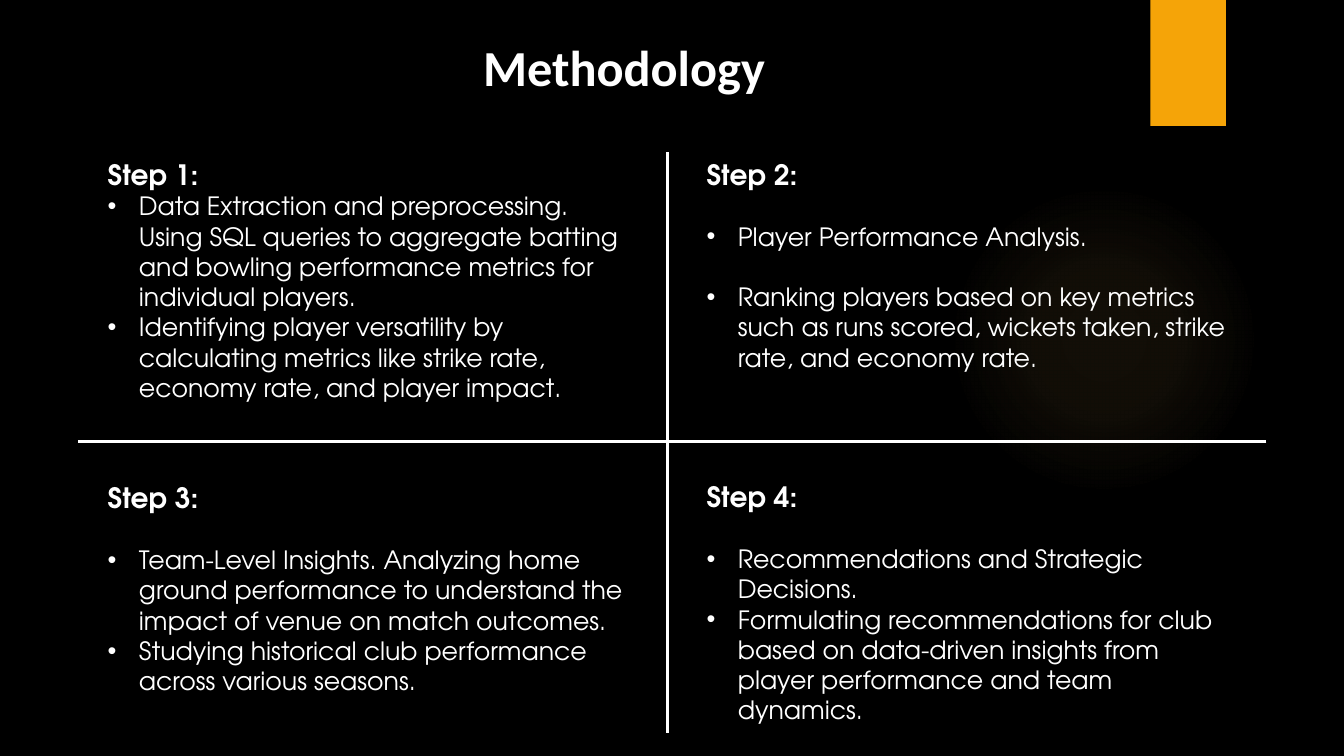
from lxml.etree import SubElement
from pptx import Presentation
from pptx.dml.color import RGBColor
from pptx.enum.shapes import MSO_CONNECTOR, MSO_SHAPE
from pptx.enum.text import MSO_ANCHOR, MSO_AUTO_SIZE, PP_ALIGN
from pptx.oxml import parse_xml
from pptx.oxml.ns import nsdecls, qn
from pptx.util import Inches, Pt

WHITE = "FFFFFF"
AMBER = "F5A408"
GLOW = "FAC96A"
BODY_FONT = "TeX Gyre Adventor"
BLANK_LINE = 21.6
STEP_WIDTH, STEP_HEIGHT = 5.36, 2.56

# left, top, heading, bullets as (space before in points, text)
STEPS = [
    (0.97, 1.51, "Step 1:", [
        (0, "Data Extraction and preprocessing. Using SQL queries to aggregate "
            "batting and bowling performance metrics for individual players."),
        (0, "Identifying player versatility by calculating metrics like strike "
            "rate, economy rate, and player impact."),
    ]),
    (6.91, 1.51, "Step 2:", [
        (BLANK_LINE, "Player Performance Analysis."),
        (BLANK_LINE, "Ranking players based on key metrics such as runs scored, "
                     "wickets taken, strike rate, and economy rate."),
    ]),
    (0.97, 4.72, "Step 3:", [
        (BLANK_LINE, "Team-Level Insights. Analyzing home ground performance to "
                     "understand the impact of venue on match outcomes."),
        (0, "Studying historical club performance across various seasons."),
    ]),
    (6.91, 4.71, "Step 4:", [
        (BLANK_LINE, "Recommendations and Strategic Decisions."),
        (0, "Formulating recommendations for club based on data-driven insights "
            "from player performance and team dynamics."),
    ]),
]


def color(hex_code):
    return RGBColor.from_string(hex_code)


def add_plain_shape(slide, kind, left, top, width, height):
    shape = slide.shapes.add_shape(
        kind, Inches(left), Inches(top), Inches(width), Inches(height))
    shape.shadow.inherit = False
    shape.line.fill.background()
    return shape


def add_glow(slide):
    """Add the faint circle that fades from its centre outwards."""
    glow = add_plain_shape(slide, MSO_SHAPE.OVAL, 9.41, 1.83, 3.08, 3.08)
    stops = "".join(
        f'<a:gs pos="{position * 1000}"><a:srgbClr val="{GLOW}">'
        f'<a:alpha val="{opacity * 1000}"/></a:srgbClr></a:gs>'
        for position, opacity in [(0, 7), (36, 6), (69, 0)])
    gradient = parse_xml(
        f'<a:gradFill {nsdecls("a")}><a:gsLst>{stops}</a:gsLst>'
        '<a:path path="circle"><a:fillToRect l="50000" t="50000" r="50000" '
        'b="50000"/></a:path></a:gradFill>')
    properties = glow.element.spPr
    properties.find(qn("a:prstGeom")).addnext(gradient)


def add_ribbon(slide):
    ribbon = add_plain_shape(slide, MSO_SHAPE.RECTANGLE, 11.41, 0, 0.75, 1.25)
    ribbon.fill.solid()
    ribbon.fill.fore_color.rgb = color(AMBER)


def add_divider(slide, x1, y1, x2, y2):
    divider = slide.shapes.add_connector(
        MSO_CONNECTOR.STRAIGHT, Inches(x1), Inches(y1), Inches(x2), Inches(y2))
    divider.line.color.rgb = color(WHITE)
    divider.line.width = Pt(2.25)
    SubElement(divider.element.spPr, qn("a:effectLst"))


def add_text_frame(slide, left, top, width, height):
    box = slide.shapes.add_textbox(
        Inches(left), Inches(top), Inches(width), Inches(height))
    box.text_frame.word_wrap = True
    return box.text_frame


def add_run(paragraph, text, size, font=BODY_FONT, bold=False):
    run = paragraph.add_run()
    run.text = text
    run.font.name = font
    run.font.size = Pt(size)
    run.font.bold = bold
    run.font.color.rgb = color(WHITE)


def make_bullet(paragraph):
    properties = paragraph._p.get_or_add_pPr()
    indent = Inches(0.31)
    properties.set("marL", str(indent))
    properties.set("indent", str(-indent))
    SubElement(properties, qn("a:buFont"), typeface="Arial")
    SubElement(properties, qn("a:buChar"), char="•")


def add_title(slide):
    frame = add_text_frame(slide, 3.45, 0.23, 5.48, 0.86)
    frame.vertical_anchor = MSO_ANCHOR.MIDDLE
    title = frame.paragraphs[0]
    title.alignment = PP_ALIGN.CENTER
    add_run(title, "Methodology", 36, font="Calibri", bold=True)


def add_step(slide, left, top, heading, bullets):
    frame = add_text_frame(slide, left, top, STEP_WIDTH, STEP_HEIGHT)
    frame.auto_size = MSO_AUTO_SIZE.SHAPE_TO_FIT_TEXT
    add_run(frame.paragraphs[0], heading, 20, bold=True)
    for gap, text in bullets:
        bullet = frame.add_paragraph()
        make_bullet(bullet)
        bullet.space_before = Pt(gap)
        add_run(bullet, text, 18)


def main():
    deck = Presentation()
    deck.slide_width, deck.slide_height = Inches(13.33), Inches(7.5)
    slide = deck.slides.add_slide(deck.slide_layouts[6])
    slide.background.fill.solid()
    slide.background.fill.fore_color.rgb = color("000000")

    add_glow(slide)
    add_ribbon(slide)
    add_title(slide)
    add_divider(slide, 6.62, 1.51, 6.62, 7.27)
    add_divider(slide, 12.56, 4.38, 0.77, 4.38)
    for step in STEPS:
        add_step(slide, *step)
    deck.save("out.pptx")


if __name__ == "__main__":
    main()
